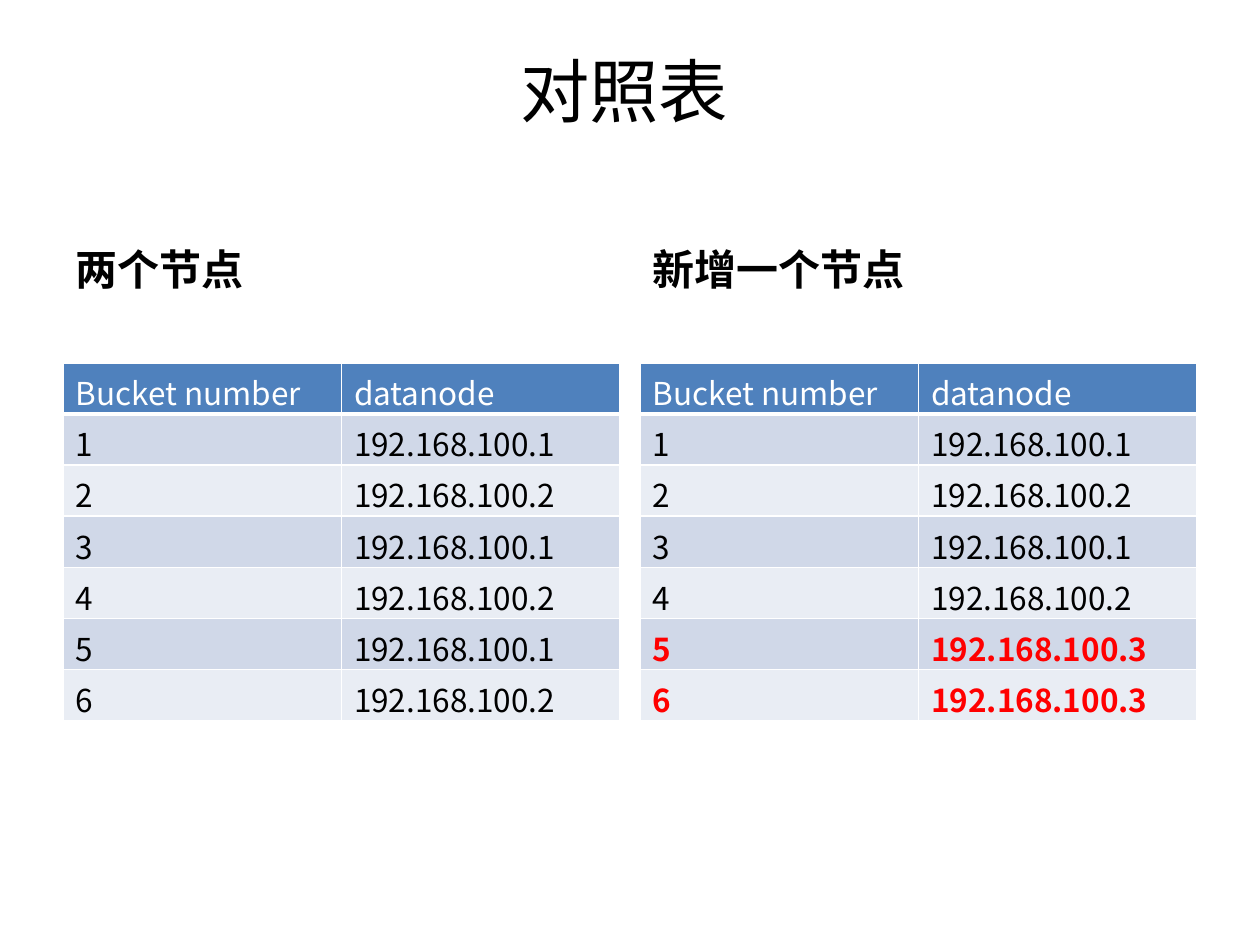
from dataclasses import dataclass

from lxml import etree
from pptx import Presentation
from pptx.dml.color import RGBColor
from pptx.enum.text import MSO_ANCHOR, MSO_AUTO_SIZE, PP_ALIGN
from pptx.oxml.ns import qn
from pptx.slide import Slide
from pptx.table import _Cell
from pptx.text.text import TextFrame
from pptx.util import Inches, Pt

BOTTOM, MIDDLE = MSO_ANCHOR.BOTTOM, MSO_ANCHOR.MIDDLE
CENTER = PP_ALIGN.CENTER
NO_AUTOFIT = MSO_AUTO_SIZE.NONE

BLACK = RGBColor(0x00, 0x00, 0x00)
WHITE = RGBColor(0xFF, 0xFF, 0xFF)
RED = RGBColor(0xFF, 0x00, 0x00)
HEADER_BLUE = RGBColor(0x4F, 0x81, 0xBD)
BANDS = RGBColor(0xD0, 0xD8, 0xE8), RGBColor(0xE9, 0xED, 0xF4)

FONT = "Noto Sans CJK SC"
HEADERS = "Bucket number", "datanode"
SUBNET = "192.168.100."
PANEL_W = 4.42
TABLE_H = 2.84


@dataclass(frozen=True)
class Panel:
    heading: str
    left: float
    nodes: tuple[int, ...]
    new_node: int | None = None


PANELS = (
    Panel("两个节点", 0.5, (1, 2, 1, 2, 1, 2)),
    Panel("新增一个节点", 5.08, (1, 2, 1, 2, 3, 3), new_node=3),
)


def set_text(tf: TextFrame, text: str, size: float, color: RGBColor = BLACK,
             bold: bool = False) -> None:
    tf.text = text
    r = tf.paragraphs[0].runs[0]
    r.font.name = FONT
    r.font.size = Pt(size)
    r.font.bold = bold
    r.font.color.rgb = color
    etree.SubElement(r.font._element, qn("a:ea"), typeface=FONT)


def set_borders(cell: _Cell, bottom: float) -> None:
    tcPr = cell._tc.get_or_add_tcPr()
    widths = {"lnL": 1, "lnR": 1, "lnT": 1, "lnB": bottom}
    for i, (tag, width) in enumerate(widths.items()):
        ln = etree.Element(qn(f"a:{tag}"), w=str(Pt(width)))
        fill = etree.SubElement(ln, qn("a:solidFill"))
        etree.SubElement(fill, qn("a:srgbClr"), val=str(WHITE))
        tcPr.insert(i, ln)


def add_heading(slide: Slide, panel: Panel) -> None:
    sp = slide.shapes.add_textbox(
        Inches(panel.left), Inches(1.68), Inches(PANEL_W), Inches(0.7))
    tf = sp.text_frame
    tf.word_wrap = True
    tf.vertical_anchor = BOTTOM
    set_text(tf, panel.heading, 24, bold=True)
    tf.paragraphs[0].space_before = Pt(4.8)


def add_bucket_table(slide: Slide, panel: Panel) -> None:
    rows = [HEADERS] + [(str(i), f"{SUBNET}{node}")
                        for i, node in enumerate(panel.nodes, 1)]
    table = slide.shapes.add_table(
        len(rows), len(HEADERS), Inches(panel.left), Inches(2.88),
        Inches(PANEL_W), Inches(TABLE_H)).table
    for i, row in enumerate(rows):
        header = i == 0
        is_new = not header and panel.nodes[i - 1] == panel.new_node
        color = WHITE if header else RED if is_new else BLACK
        for j, text in enumerate(row):
            cell = table.cell(i, j)
            set_text(cell.text_frame, text, 18, color, is_new)
            cell.fill.solid()
            cell.fill.fore_color.rgb = HEADER_BLUE if header else BANDS[(i - 1) % 2]
            set_borders(cell, bottom=3 if header else 1)


def add_title(slide: Slide, text: str) -> None:
    sp = slide.shapes.title
    sp.left, sp.top = Inches(0.83), Inches(0.44)
    sp.width, sp.height = Inches(8.25), Inches(0.55)
    tf = sp.text_frame
    tf.auto_size = NO_AUTOFIT
    tf.vertical_anchor = MIDDLE
    set_text(tf, text, 39.6)
    tf.paragraphs[0].alignment = CENTER


def main() -> None:
    prs = Presentation()
    prs.slide_width, prs.slide_height = Inches(10), Inches(7.5)
    slide = prs.slides.add_slide(prs.slide_layouts.get_by_name("Title Only"))
    add_title(slide, "对照表")
    for panel in PANELS:
        add_heading(slide, panel)
        add_bucket_table(slide, panel)
    prs.save("out.pptx")


if __name__ == "__main__":
    main()
